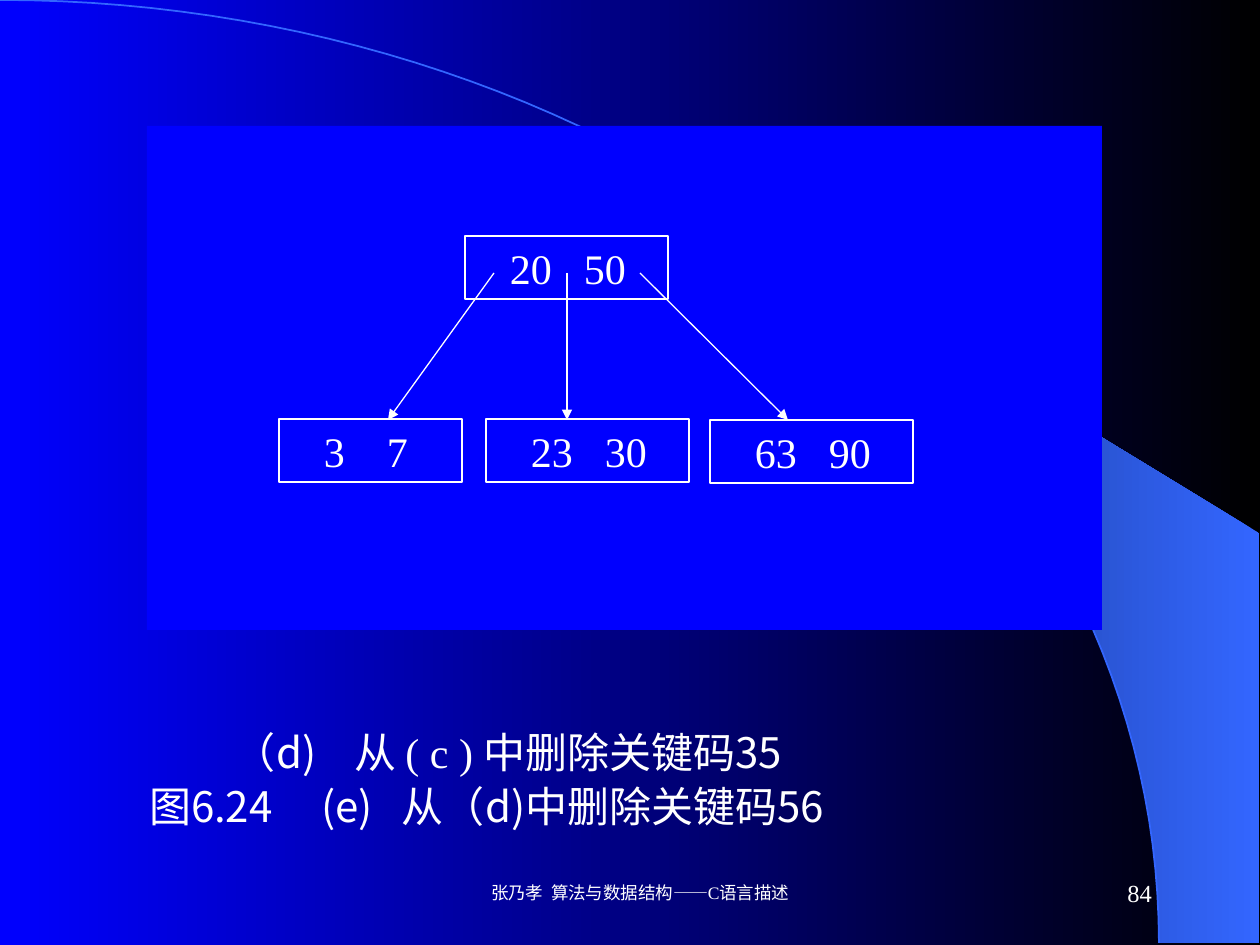
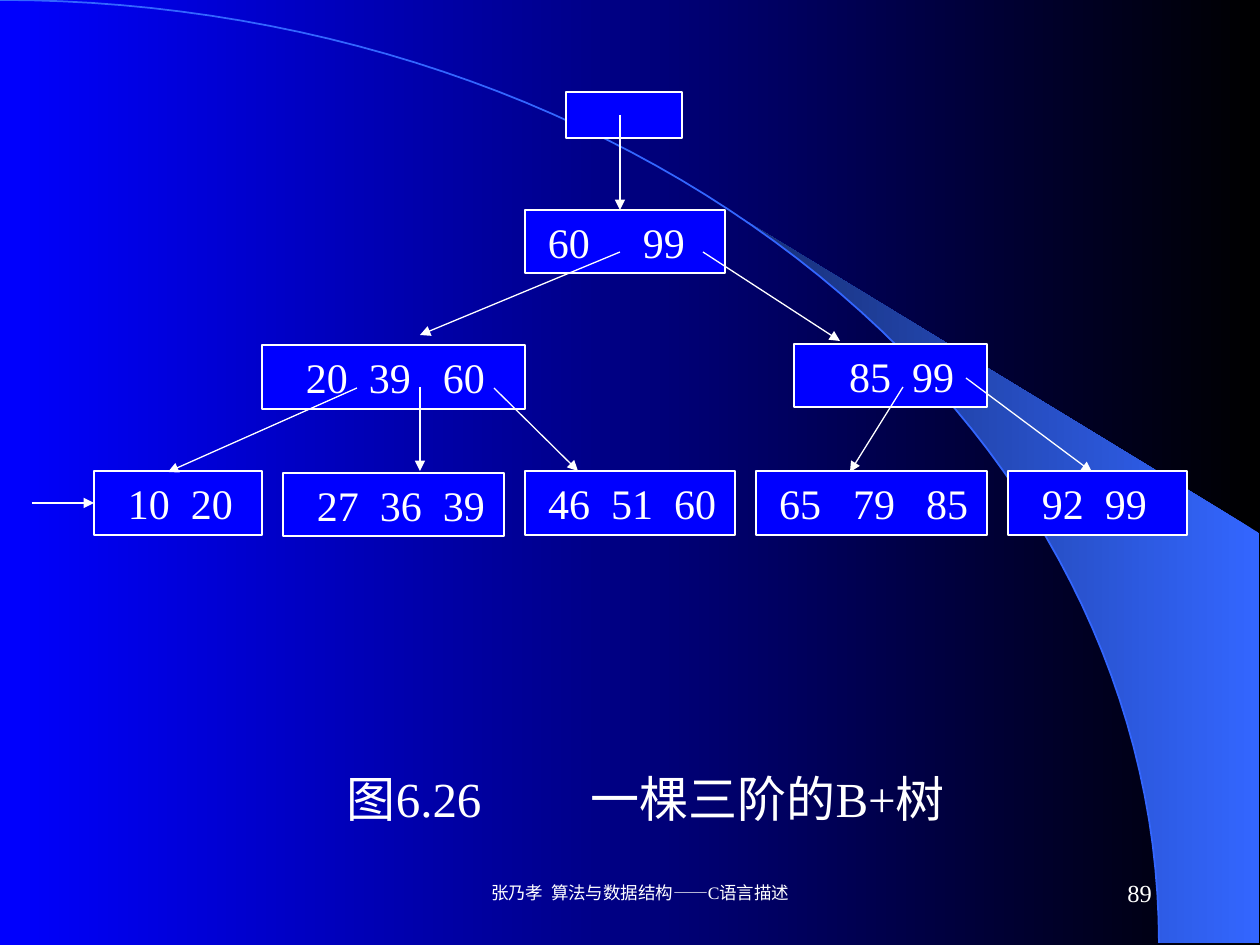
"""Two slides on B-tree deletion and a B+ tree."""
from dataclasses import dataclass
from math import asin, cos, pi, sin

from lxml import etree
from pptx import Presentation
from pptx.dml.color import RGBColor
from pptx.enum.shapes import MSO_CONNECTOR, MSO_SHAPE
from pptx.enum.text import MSO_ANCHOR, PP_ALIGN
from pptx.oxml.ns import qn
from pptx.util import Pt

RECTANGLE = MSO_SHAPE.RECTANGLE
STRAIGHT = MSO_CONNECTOR.STRAIGHT
MIDDLE = MSO_ANCHOR.MIDDLE
LEFT, RIGHT = PP_ALIGN.LEFT, PP_ALIGN.RIGHT
LEFT_SIDE = 1
SCALE = 914400 / 126
PAGE_WIDTH, PAGE_HEIGHT = 1260, 945


@dataclass(frozen=True)
class Theme:
    """Colours, fonts and type sizes."""
    black: str = "000000"
    blue: str = "0000FF"
    white: str = "FFFFFF"
    arc: str = "3366FF"
    wing_dark: str = "172F75"
    serif: str = "Times New Roman"
    sans: str = "Noto Sans CJK SC"
    footer: int = 10
    number: int = 14
    key: int = 24
    title: int = 28
    outline: float = 0.75


THEME = Theme()
FOOTER = "张乃孝\t算法与数据结构——C语言描述"
FOOTER_BOX, NUMBER_BOX = (431, 861, 399, 63), (903, 861, 262, 63)
ARC_WIDTH, ARC_HEIGHT = 1159, 943
WING_LEFT, WING_RIGHT, WING_SHOULDER = 742, 1259, 533

SLIDES = [
    {
        "number": "84",
        "panel": (147, 126, 955, 504),
        "caption": {
            "box": (136, 730, 976, 110),
            "lines": [
                [("\t（d)\t从 ", THEME.sans), ("( c ) ", THEME.serif),
                 ("中删除关键码35", THEME.sans)],
                [("图6.24\t(e)\t从（d)中删除关键码56", THEME.sans)],
            ],
            "stops": [(85, 205), (172, 252)],
            "size": THEME.key, "spacing": 0.7, "before": 10.6,
        },
        "nodes": [
            ((465, 236, 203, 63), "20 50", 45, (74,)),
            ((279, 419, 183, 63), "3 7", 45, (63,)),
            ((486, 419, 203, 63), "23 30", 45, (74,)),
            ((710, 420, 203, 63), "63 90", 45, (74,)),
        ],
        "arrows": [
            (567, 273, 567, 420), (494, 273, 388, 420), (640, 273, 788, 420),
        ],
    },
    {
        "number": "89",
        "caption": {
            "box": (319, 762, 679, 72),
            "lines": [[("图6.26\t一棵三阶的B+树", THEME.serif)]],
            "stops": [(244,)], "size": THEME.title, "inset": 28,
        },
        "nodes": [
            ((566, 92, 116, 46), "", 0, ()),
            ((525, 210, 200, 63), "60 99", 23, (95,)),
            ((262, 345, 263, 64), "20 39 60", 44, (63, 137)),
            ((794, 344, 193, 63), "85 99", 55, (63,)),
            ((283, 473, 221, 63), "27 36 39", 34, (63, 126)),
            ((525, 471, 210, 64), "46 51 60", 23, (63, 126)),
            ((756, 471, 231, 64), "65 79 85", 23, (74, 147)),
            ((1008, 471, 179, 64), "92 99", 34, (63,)),
            ((94, 471, 168, 64), "10 20", 34, (63,)),
        ],
        "arrows": [
            (620, 115, 620, 210), (620, 252, 420, 335), (703, 252, 840, 341),
            (357, 388, 168, 472), (420, 387, 420, 471), (494, 388, 578, 471),
            (903, 387, 850, 472), (966, 378, 1092, 472),
        ],
        "entry": (32, 503, 94, 503),
    },
]


def emu(*lengths):
    """Turn px lengths into EMU."""
    return [round(length * SCALE) for length in lengths]


def color(name):
    """Return the colour for a hex string."""
    return RGBColor.from_string(name)


def shade(fill, first, last):
    """Fill with a gradient that runs from right to left."""
    fill.gradient()
    fill.gradient_angle = 180
    for stop, name in zip(fill.gradient_stops, (first, last)):
        stop.color.rgb = color(name)


def write(box, lines, size, stops=(), inset=13, right=4, align=LEFT,
          spacing=None, before=0):
    """Write lines of (text, font) spans with tab stops into a box."""
    frame = box.text_frame
    frame.word_wrap = True
    frame.vertical_anchor = MIDDLE
    frame.margin_left, frame.margin_right = emu(inset, right)
    frame.margin_top, frame.margin_bottom = emu(6, 6)
    for index, line in enumerate(lines):
        para = frame.add_paragraph() if index else frame.paragraphs[0]
        if stops:
            tabs = etree.SubElement(para._p.get_or_add_pPr(), qn("a:tabLst"))
            for position in emu(*stops[index]):
                etree.SubElement(tabs, qn("a:tab"), pos=str(position), algn="l")
        para.alignment = align
        if spacing:
            para.line_spacing = spacing
        if index:
            para.space_before = Pt(before)
        for text, font in line:
            span = para.add_run()
            span.text = text
            span.font.size = Pt(size)
            span.font.color.rgb = color(THEME.white)
            span.font.name = font
            etree.SubElement(span._r.get_or_add_rPr(), qn("a:ea"),
                             typeface=THEME.sans)


def add_text(page, place, lines, **style):
    """Add a text box."""
    write(page.shapes.add_textbox(*emu(*place)), lines, **style)


def add_box(page, place, outlined=True):
    """Add a blue rectangle."""
    box = page.shapes.add_shape(RECTANGLE, *emu(*place))
    box.shadow.inherit = False
    box.fill.solid()
    box.fill.fore_color.rgb = color(THEME.blue)
    if outlined:
        box.line.color.rgb = color(THEME.white)
        box.line.width = Pt(THEME.outline)
    else:
        box.line.fill.background()
    return box


def add_node(page, place, keys, inset, stops):
    """Add a tree node with its keys set at tab stops."""
    node = add_box(page, place)
    if keys:
        text = "\t".join(keys.split())
        write(node, [[(text, THEME.serif)]], THEME.key, [stops], inset)
    return node


def add_arrow(page, ends):
    """Add a white arrow."""
    arrow = page.shapes.add_connector(STRAIGHT, *emu(*ends))
    arrow.line.color.rgb = color(THEME.white)
    arrow.line.width = Pt(THEME.outline)
    etree.SubElement(arrow.line._get_or_add_ln(), qn("a:tailEnd"),
                     type="triangle")
    etree.SubElement(arrow._element.spPr, qn("a:effectLst"))
    return arrow


def arc_points(start, steps=60):
    """Return points along the quarter ellipse from an angle to its end."""
    angles = [start + (pi / 2 - start) * step / steps
              for step in range(steps + 1)]
    return [emu(ARC_WIDTH * sin(angle), ARC_HEIGHT * (1 - cos(angle)))
            for angle in angles]


def add_outline(page, points, close):
    """Add a freeform through the points."""
    builder = page.shapes.build_freeform(*points[0], scale=1.0)
    builder.add_line_segments(points[1:], close=close)
    outline = builder.convert_to_shape()
    outline.shadow.inherit = False
    return outline


def add_backdrop(page):
    """Add the gradient ground, the wing and the arc."""
    shade(page.background.fill, THEME.black, THEME.blue)
    corners = [emu(WING_RIGHT, ARC_HEIGHT), emu(WING_RIGHT, WING_SHOULDER)]
    inner_edge = arc_points(asin(WING_LEFT / ARC_WIDTH))
    wing = add_outline(page, inner_edge + corners, True)
    shade(wing.fill, THEME.arc, THEME.wing_dark)
    wing.line.fill.background()
    arc = add_outline(page, arc_points(0), False)
    arc.fill.background()
    arc.line.color.rgb = color(THEME.arc)
    arc.line.width = Pt(1)


def add_footer(page, number):
    """Add the footer and the page number."""
    add_text(page, FOOTER_BOX, [[(FOOTER, THEME.serif)]], size=THEME.footer,
             stops=[(60,)], inset=60)
    add_text(page, NUMBER_BOX, [[(number, THEME.serif)]], size=THEME.number,
             right=13, align=RIGHT)


def build_page(deck, content):
    """Build one slide from its content."""
    page = deck.slides.add_slide(deck.slide_layouts[6])
    add_backdrop(page)
    caption = dict(content["caption"])
    add_text(page, caption.pop("box"), **caption)
    if "panel" in content:
        add_box(page, content["panel"], outlined=False)
    nodes = [add_node(page, *node) for node in content["nodes"]]
    for ends in content["arrows"]:
        add_arrow(page, ends)
    if "entry" in content:
        add_arrow(page, content["entry"]).end_connect(nodes[-1], LEFT_SIDE)
    add_footer(page, content["number"])


def main():
    """Build and save the deck."""
    deck = Presentation()
    deck.slide_width, deck.slide_height = emu(PAGE_WIDTH, PAGE_HEIGHT)
    for content in SLIDES:
        build_page(deck, content)
    deck.save("out.pptx")


if __name__ == "__main__":
    main()
